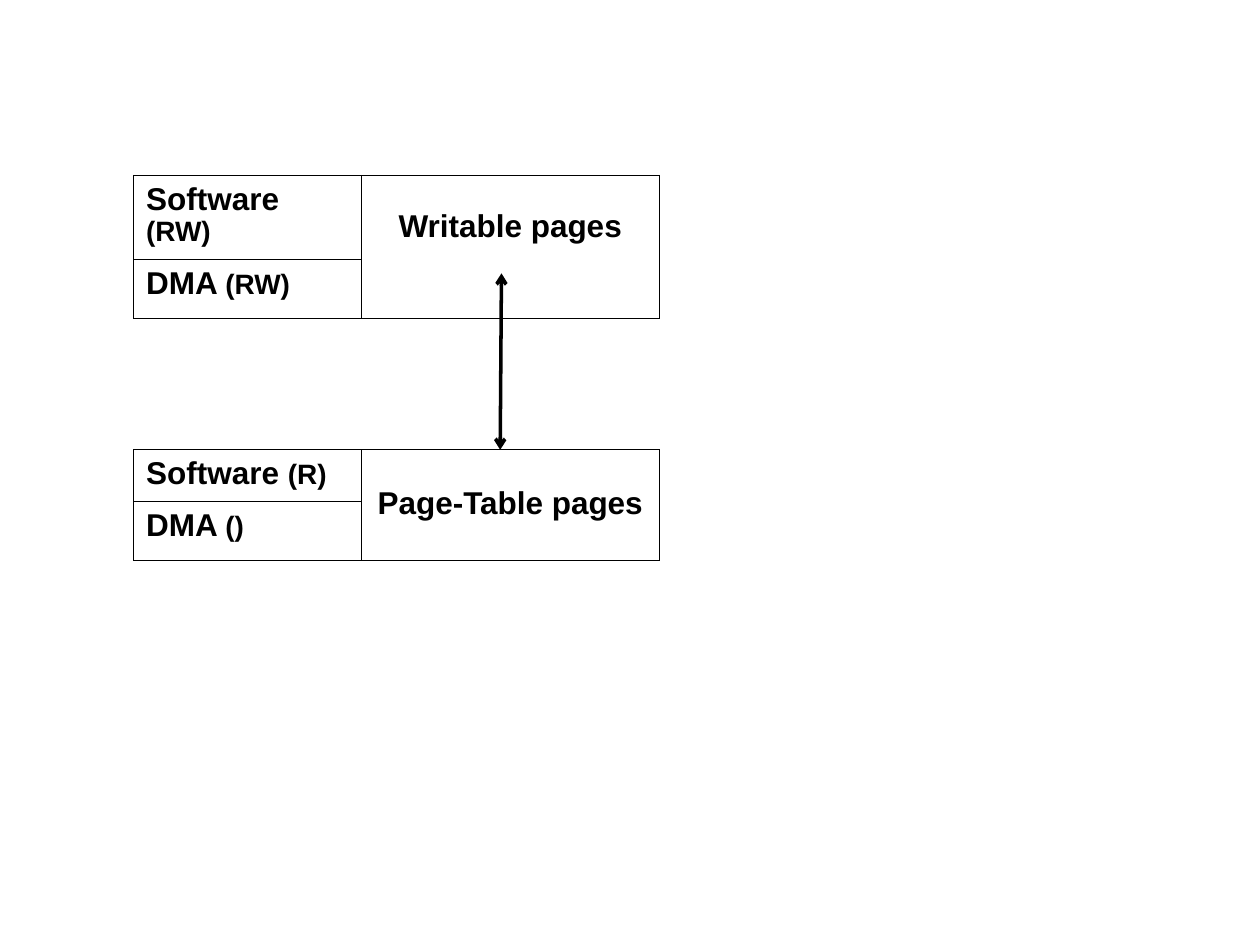
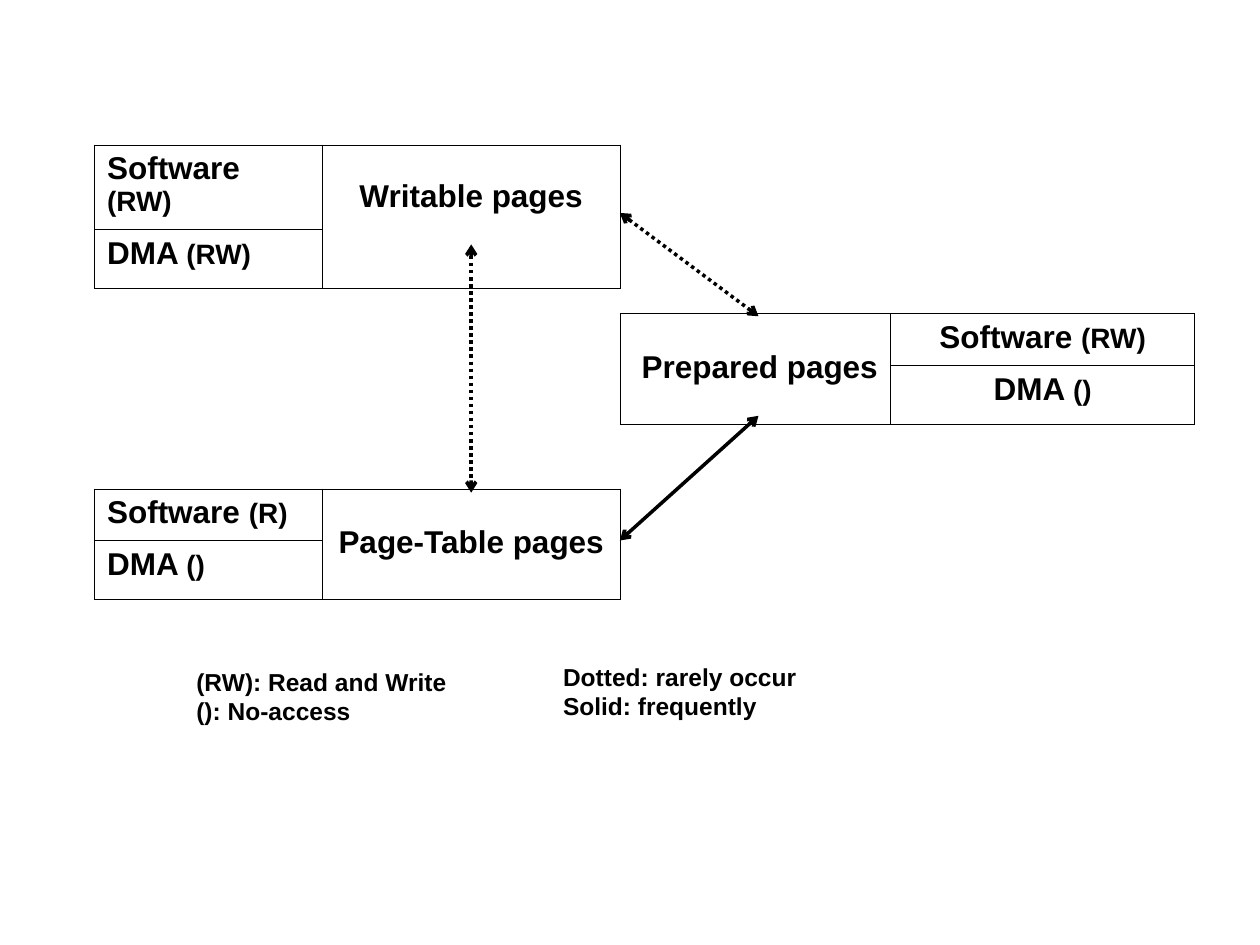
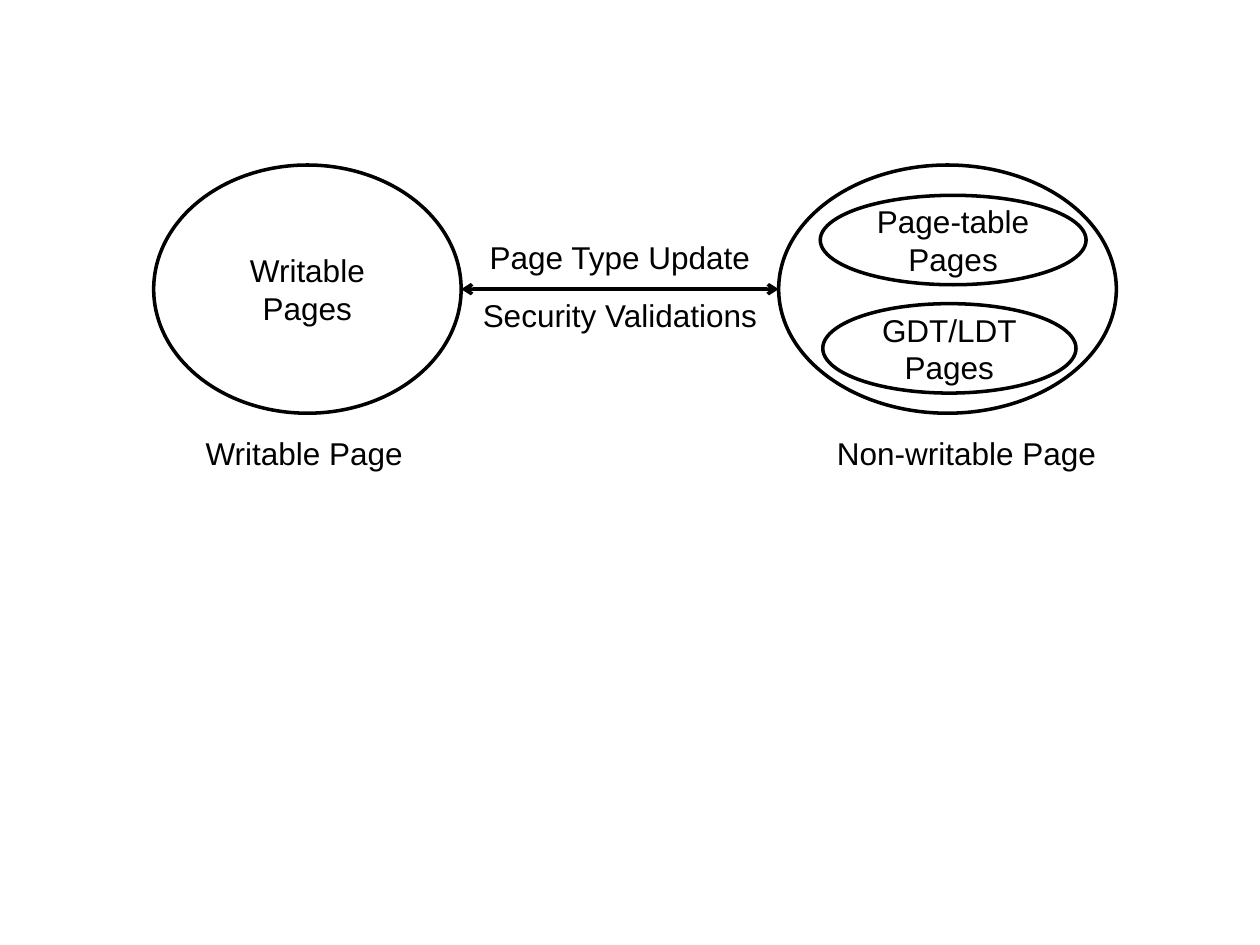
"""Build three diagrams of page types and the transitions between them."""
from lxml import etree
from pptx import Presentation
from pptx import util as u
from pptx.dml.color import RGBColor
from pptx.enum import dml, shapes, text
from pptx.oxml import ns

BLACK = RGBColor(0x00, 0x00, 0x00)
WHITE = RGBColor(0xFF, 0xFF, 0xFF)
FONT = "Arial"
BODY_SIZE, ACCESS_SIZE, LEGEND_SIZE = 18, 16, 14
LINE_WIDTH = u.Pt(2)
BORDER_WIDTH = u.Pt(0.45)
LABEL_SIZE = (2.68, 0.79)
CAPTION_HEIGHT = 0.79
ACCESS_WIDTH, NAME_WIDTH = 1.81, 2.36
DMA_HEIGHT = 0.47
CENTER, LEFT = text.PP_ALIGN.CENTER, text.PP_ALIGN.LEFT


def inches(*lengths):
    """Convert numbers to lengths in inches."""
    return [u.Inches(length) for length in lengths]


def style_font(font, size=BODY_SIZE, bold=False):
    """Apply the shared font face and colour."""
    font.name = FONT
    font.size = u.Pt(size)
    font.bold = bold
    font.color.rgb = BLACK


def write_lines(shape, lines, size=BODY_SIZE, bold=False, align=CENTER):
    """Fill a shape with vertically centred paragraphs."""
    frame = shape.text_frame
    frame.word_wrap = True
    frame.vertical_anchor = text.MSO_ANCHOR.MIDDLE
    frame.text = "\n".join(lines)
    for paragraph in frame.paragraphs:
        paragraph.alignment = align
        style_font(paragraph.font, size, bold)


def add_label(slide, box, *lines, **style):
    """Add a text box holding the given lines."""
    write_lines(slide.shapes.add_textbox(*inches(*box)), lines, **style)


def add_ellipse(slide, box, *lines):
    """Add an outlined ellipse with optional text."""
    ellipse = slide.shapes.add_shape(shapes.MSO_SHAPE.OVAL, *inches(*box))
    ellipse.shadow.inherit = False
    ellipse.fill.solid()
    ellipse.fill.fore_color.rgb = WHITE
    ellipse.line.color.rgb = BLACK
    ellipse.line.width = LINE_WIDTH
    if lines:
        write_lines(ellipse, lines)


def add_arrow(slide, start, end, dotted=False):
    """Add a line with an arrowhead at both ends."""
    arrow = slide.shapes.add_connector(
        shapes.MSO_CONNECTOR.STRAIGHT, *inches(*start, *end))
    arrow.line.color.rgb = BLACK
    arrow.line.width = LINE_WIDTH
    if dotted:
        arrow.line.dash_style = dml.MSO_LINE.ROUND_DOT
    properties = arrow._element.spPr
    outline = properties.find(ns.qn("a:ln"))
    for end_tag in ("a:headEnd", "a:tailEnd"):
        etree.SubElement(outline, ns.qn(end_tag), type="arrow")
    etree.SubElement(properties, ns.qn("a:effectLst"))


def style_cell(cell):
    """Give a cell thin black borders and no fill."""
    properties = cell._tc.get_or_add_tcPr()
    for side in ("a:lnL", "a:lnR", "a:lnT", "a:lnB"):
        border = etree.SubElement(properties, ns.qn(side), w=str(BORDER_WIDTH))
        fill = etree.SubElement(border, ns.qn("a:solidFill"))
        etree.SubElement(fill, ns.qn("a:srgbClr"), val=str(BLACK))
    cell.fill.background()


def write_access(cell, subject, access, align):
    """Write who has access, with the rights in a smaller size."""
    paragraph = cell.text_frame.paragraphs[0]
    paragraph.alignment = align
    for words, size in ((subject + " ", BODY_SIZE), (access, ACCESS_SIZE)):
        run = paragraph.add_run()
        run.text = words
        style_font(run.font, size, bold=True)


def add_page_type(slide, left, top, name, software, dma, software_height=0.41,
                  widths=(ACCESS_WIDTH, NAME_WIDTH), label_offset=(1.65, 0.02),
                  name_column=1, align=LEFT):
    """Add a page type: its access table and its name over the merged cell."""
    heights = (software_height, DMA_HEIGHT)
    frame = slide.shapes.add_table(
        2, 2, *inches(left, top, sum(widths), sum(heights)))
    table = frame.table
    table.first_row = table.horz_banding = False
    for column, width in zip(table.columns, widths):
        column.width = u.Inches(width)
    for row, height in zip(table.rows, heights):
        row.height = u.Inches(height)
    for cell in table.iter_cells():
        style_cell(cell)
    table.cell(0, name_column).merge(table.cell(1, name_column))
    for row, entry in enumerate((("Software", software), ("DMA", dma))):
        write_access(table.cell(row, 1 - name_column), *entry, align)
    dx, dy = label_offset
    add_label(slide, (left + dx, top + dy, *LABEL_SIZE), name, bold=True)


def add_page_pair(slide, left, writable_top, page_table_top):
    """Add the writable type above the page-table type."""
    add_page_type(slide, left, writable_top, "Writable pages", "(RW)", "(RW)",
                  software_height=0.67, label_offset=(1.65, 0))
    add_page_type(slide, left, page_table_top, "Page-Table pages", "(R)", "()")


def build_direct_slide(slide):
    """Show the direct transition between two page types."""
    add_page_pair(slide, 1.06, 1.39, 3.57)
    add_arrow(slide, (3.98, 2.17), (3.97, 3.57))


def build_prepared_slide(slide):
    """Show the transitions through prepared pages, with a legend."""
    add_page_pair(slide, 0.75, 1.15, 3.88)
    add_arrow(slide, (3.74, 1.94), (3.74, 3.91), dotted=True)
    add_page_type(slide, 4.92, 2.49, "Prepared pages", "(RW)", "()",
                  widths=(2.15, 2.41), label_offset=(-0.23, 0.02),
                  name_column=0, align=CENTER)
    add_arrow(slide, (6.02, 3.3), (4.92, 4.29))
    add_arrow(slide, (4.92, 1.69), (6.02, 2.51), dotted=True)
    legends = (
        (1.46, 5.13, "(RW): Read and Write", "(): No-access"),
        (4.37, 5.09, "Dotted: rarely occur", "Solid: frequently"),
    )
    for left, top, *lines in legends:
        add_label(slide, (left, top, *LABEL_SIZE), *lines,
                  size=LEGEND_SIZE, bold=True, align=LEFT)


def build_validation_slide(slide):
    """Show the validated update between writable and non-writable pages."""
    top, height = 1.31, 1.97
    middle = top + height / 2
    add_ellipse(slide, (6.18, top, 2.68, height))
    add_ellipse(slide, (6.51, 1.55, 2.11, 0.71), "Page-table Pages")
    add_ellipse(slide, (6.53, 2.41, 2.01, 0.71), "GDT/LDT", "Pages")
    add_ellipse(slide, (1.22, top, 2.44, height), "Writable Pages")
    add_arrow(slide, (6.18, middle), (3.66, middle))
    add_label(slide, (0.9, 3.2, 3.03, CAPTION_HEIGHT), "Writable Page")
    add_label(slide, (5.86, 3.2, 3.62, CAPTION_HEIGHT), "Non-writable Page")
    add_label(slide, (3.11, 1.68, 3.62, 0.71), "Page Type Update")
    add_label(slide, (3.11, 2.14, 3.62, 0.71), "Security Validations")


def main():
    """Build and save the presentation."""
    presentation = Presentation()
    presentation.slide_width, presentation.slide_height = inches(10, 7.5)
    blank_layout = presentation.slide_layouts[6]
    for build in (build_direct_slide, build_prepared_slide,
                  build_validation_slide):
        build(presentation.slides.add_slide(blank_layout))
    presentation.save("out.pptx")


if __name__ == "__main__":
    main()
